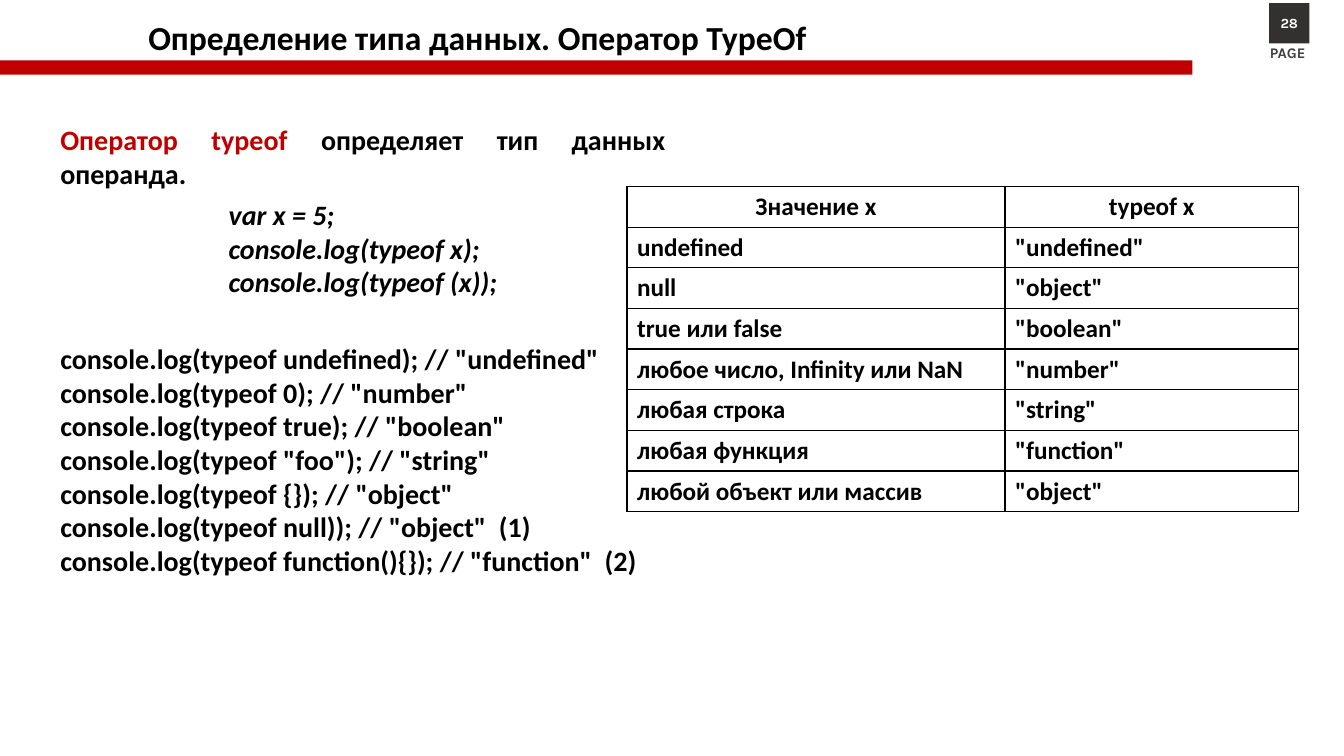
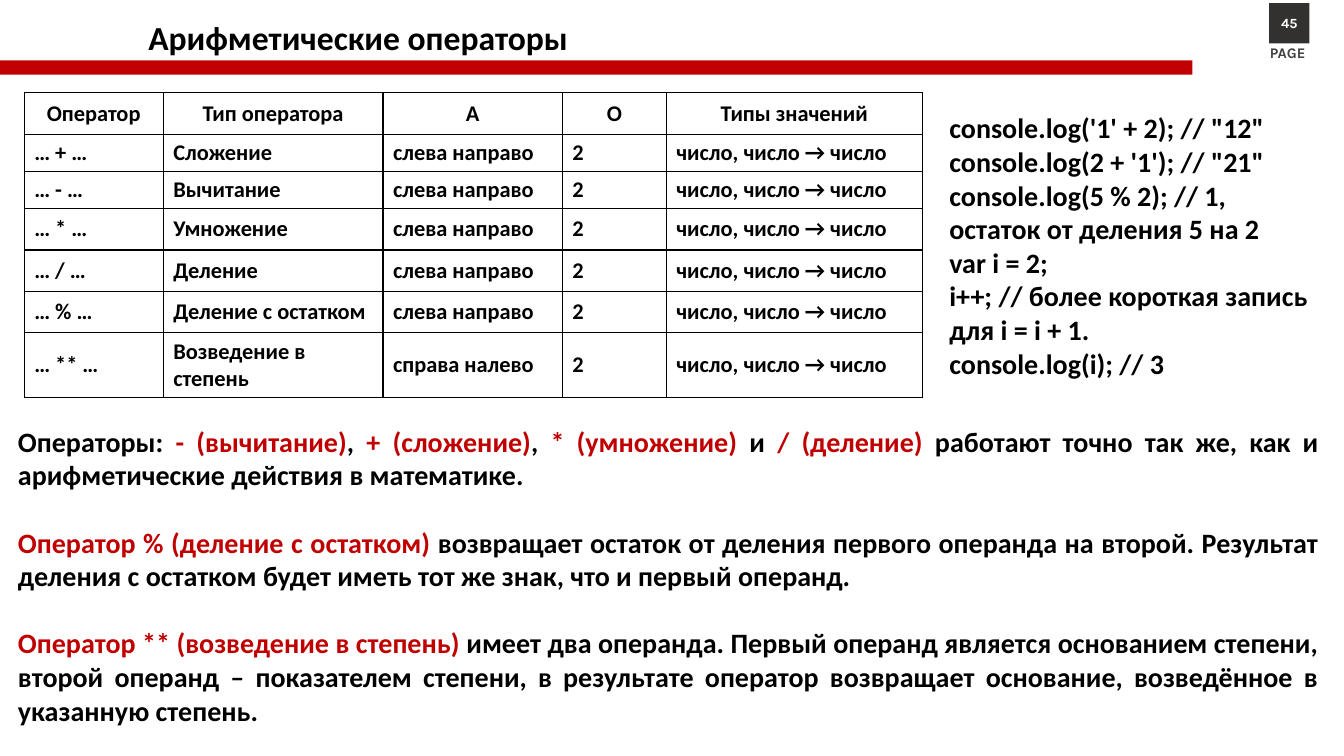
from dataclasses import dataclass, field

from lxml import etree
from pptx import Presentation
from pptx import util as u
from pptx.dml.color import RGBColor
from pptx.enum import shapes, text
from pptx.oxml.ns import qn

HUES = {"ink": "000000", "red": "C00000", "dark": "333030", "gray": "404040", "white": "FFFFFF"}
WIDE, HIGH = u.Inches(13.33), u.Inches(7.5)
LEFT, MID, JUST = text.PP_ALIGN.LEFT, text.PP_ALIGN.CENTER, text.PP_ALIGN.JUSTIFY
TOP, HALF = text.MSO_ANCHOR.TOP, text.MSO_ANCHOR.MIDDLE
BASE = {"name": "Calibri", "size": u.Pt(20), "bold": True}
HEAD = BASE | {"size": u.Pt(24)}
CODE = BASE | {"italic": True}
MARK = BASE | {"name": "Karla", "size": u.Pt(10)}
LABEL = MARK | {"size": u.Pt(10.5)}


@dataclass
class Box:
    """Percent shares of the slide's width and height."""
    x: float
    y: float
    w: float
    h: float

    def place(self) -> tuple[int, int, int, int]:
        return across(self.x), down(self.y), across(self.w), down(self.h)


@dataclass
class Note:
    box: Box
    lines: list[str]
    font: dict = field(default_factory=lambda: BASE)
    align: int = LEFT
    gap: float = 0


@dataclass
class Grid:
    x: float
    y: float
    cols: list[float]
    rows: list[float]
    cells: list[list[str]]
    size: int
    anchor: int


@dataclass
class Page:
    title: str
    number: int
    grid: Grid
    notes: list[Note]


TITLE = Box(10.28, 0.4, 89.7, 9.6)
BADGE = Box(94.43, 0.4, 3, 5.33)
BAND = Box(0, 8, 88.73, 1.87)
PAGE = Note(Box(93.75, 5.2, 4.43, 3.73), ["PAGE"], LABEL)


def across(share: float) -> int:
    return round(WIDE * share / 100)


def down(share: float) -> int:
    return round(HIGH * share / 100)


def tint(hue: str) -> RGBColor:
    return RGBColor.from_string(HUES[hue])


def apply(thing, form: dict) -> None:
    for key, value in form.items():
        setattr(thing, key, value)


def write(frame, lines: list[str], font: dict, hue: str = "ink",
          align: int = LEFT, gap: float = 0) -> None:
    for row, line in enumerate(lines):
        para = frame.add_paragraph() if row else frame.paragraphs[0]
        para.alignment = align
        if row and gap:
            para.space_before = u.Pt(gap)
        for part, words in enumerate(line.split("|")):
            if words:
                run = para.add_run()
                run.text = words
                apply(run.font, font)
                run.font.color.rgb = tint("red" if part % 2 else hue)


def draw_note(slide, note: Note, hue: str = "ink", wrap: bool = True) -> None:
    frame = slide.shapes.add_textbox(*note.box.place()).text_frame
    frame.word_wrap = wrap
    write(frame, note.lines, note.font, hue, note.align, note.gap)


def draw_block(slide, box: Box, hue: str):
    block = slide.shapes.add_shape(shapes.MSO_SHAPE.RECTANGLE, *box.place())
    block.shadow.inherit = False
    block.fill.solid()
    block.fill.fore_color.rgb = tint(hue)
    block.line.fill.background()
    return block


def edge(cell) -> None:
    props = cell._tc.get_or_add_tcPr()
    for at, side in enumerate(("lnL", "lnR", "lnT", "lnB")):
        line = etree.Element(qn(f"a:{side}"), w=str(u.Pt(1)))
        fill = etree.SubElement(line, qn("a:solidFill"))
        etree.SubElement(fill, qn("a:srgbClr"), val=HUES["ink"])
        props.insert(at, line)


def draw_grid(slide, grid: Grid) -> None:
    box = Box(grid.x, grid.y, sum(grid.cols), sum(grid.rows))
    table = slide.shapes.add_table(len(grid.rows), len(grid.cols), *box.place()).table
    apply(table, {"first_row": False, "horz_banding": False})
    for col, share in zip(table.columns, grid.cols):
        col.width = across(share)
    for row, share in zip(table.rows, grid.rows):
        row.height = down(share)
    font = BASE | {"size": u.Pt(grid.size)}
    for r, row in enumerate(grid.cells):
        for c, words in enumerate(row):
            cell = table.cell(r, c)
            cell.fill.background()
            cell.vertical_anchor = grid.anchor
            write(cell.text_frame, [words], font, align=LEFT if r else MID)
            edge(cell)


def draw_frame(slide, page: Page) -> None:
    title = slide.shapes.title
    apply(title, dict(zip(("left", "top", "width", "height"), TITLE.place())))
    apply(title.text_frame, {"vertical_anchor": HALF, "word_wrap": True,
                             "auto_size": text.MSO_AUTO_SIZE.NONE})
    write(title.text_frame, [page.title], HEAD)
    title.text_frame.paragraphs[0].line_spacing = 0.9
    draw_note(slide, PAGE, "gray", False)
    badge = draw_block(slide, BADGE, "dark").text_frame
    apply(badge, {"vertical_anchor": HALF, "word_wrap": False})
    write(badge, [str(page.number)], MARK, "white", MID)
    draw_block(slide, BAND, "red")


TYPES = Page(
    "Определение типа данных. Оператор TypeOf", 28,
    Grid(46.65, 24.67, [28.13, 21.83], [5.38] * 8, [
        ["Значение x", "typeof x"],
        ["undefined", '"undefined"'],
        ["null", '"object"'],
        ["true или false", '"boolean"'],
        ["любое число, Infinity или NaN", '"number"'],
        ["любая строка", '"string"'],
        ["любая функция", '"function"'],
        ["любой объект или массив", '"object"'],
    ], 18, TOP),
    [
        Note(Box(3.75, 15.6, 46.5, 19.33),
             ["|Оператор typeof |определяет тип данных операнда. "], align=JUST),
        Note(Box(16.28, 25.47, 24.45, 14.8),
             ["var x = 5;", "console.log(typeof x);", "console.log(typeof (x));"], CODE),
        Note(Box(3.75, 44.53, 45, 32.8), [
            'console.log(typeof undefined); // "undefined"',
            'console.log(typeof 0); // "number"',
            'console.log(typeof true); // "boolean"',
            'console.log(typeof "foo"); // "string"',
            'console.log(typeof {}); // "object"',
            'console.log(typeof null)); // "object"  (1)',
            'console.log(typeof function(){}); // "function"  (2)',
        ]),
    ])

SIGNS = [("+", "Сложение"), ("-", "Вычитание"), ("*", "Умножение"), ("/", "Деление"),
         ("%", "Деление с остатком"), ("**", "Возведение в степень")]

MATHS = Page(
    "Арифметические операторы", 45,
    Grid(1.8, 12.27, [10.35, 16.35, 13.35, 7.73, 19.05],
         [5.47, 4.93, 4.93, 5.47, 5.47, 5.47, 8.53],
         [["Оператор", "Тип оператора", "А", "О", "Типы значений"]] + [
             [f"… {sign} …", kind, "справа налево" if sign == "**" else "слева направо",
              "2", "число, число → число"] for sign, kind in SIGNS
         ], 16, HALF),
    [
        Note(Box(0.6, 55.47, 98.25, 41.73), [
            "Операторы: |- (вычитание)|, |+ (сложение)|, |* (умножение)| и |/ (деление) |"
            "работают точно так же, как и арифметические действия в математике. ",
            "|Оператор % (деление с остатком) |возвращает остаток от деления первого операнда "
            "на второй. Результат деления с остатком будет иметь тот же знак, что и первый операнд.",
            "|Оператор ** (возведение в степень) |имеет два операнда. Первый операнд является "
            "основанием степени, второй операнд – показателем степени, в результате оператор "
            "возвращает основание, возведённое в указанную степень.",
        ], align=JUST, gap=24),
        Note(Box(69.9, 14, 28.88, 41.73), [
            "console.log('1' + 2); // \"12\"",
            "console.log(2 + '1'); // \"21\"",
            "console.log(5 % 2); // 1, остаток от деления 5 на 2",
            "var i = 2;",
            "i++; // более короткая запись для i = i + 1.",
            "console.log(i); // 3",
        ]),
    ])


def main() -> None:
    deck = Presentation()
    apply(deck, {"slide_width": WIDE, "slide_height": HIGH})
    for page in (TYPES, MATHS):
        slide = deck.slides.add_slide(deck.slide_layouts.get_by_name("Title Only"))
        draw_frame(slide, page)
        draw_grid(slide, page.grid)
        for note in page.notes:
            draw_note(slide, note)
    deck.save("out.pptx")


if __name__ == "__main__":
    main()
